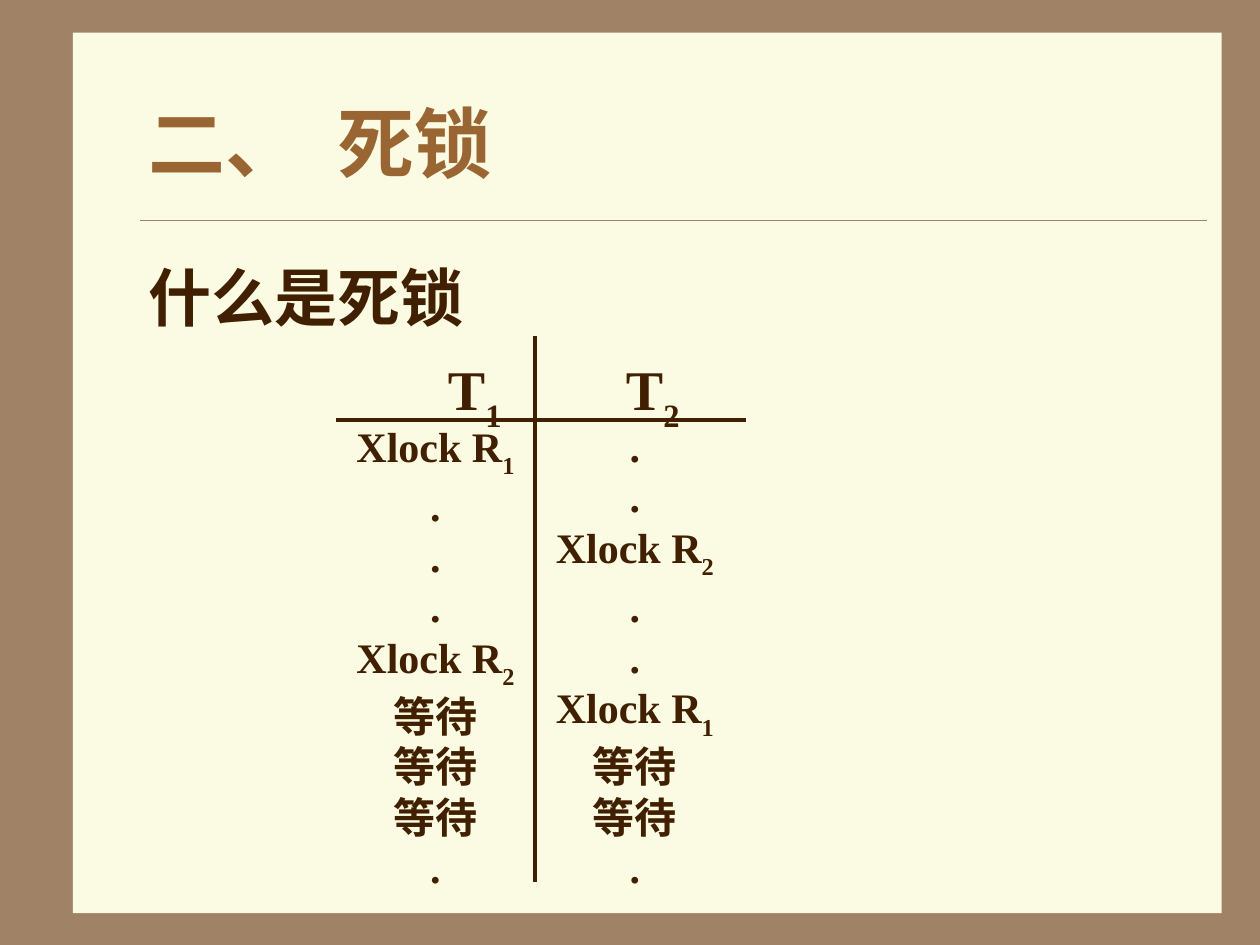
import pptx
import pptx.dml.color
import pptx.enum.shapes
import pptx.enum.text
import pptx.oxml.ns
import pptx.util
from lxml import etree
from pptx.util import Cm, Pt

COLOURS = {"frame": "A08366", "paper": "FBFAE2", "title": "996633", "ink": "402000"}
FONT = "Times New Roman"
SCHEDULE = {
    "T_1": ["Xlock R_1", ".", ".", ".", "Xlock R_2", "等待", "等待", "等待", "."],
    "T_2": [".", ".", "Xlock R_2", ".", ".", "Xlock R_1", "等待", "等待", "."],
}


def colour(name):
    return pptx.dml.color.RGBColor.from_string(COLOURS[name])


def add_span(para, text, size, ink, subscript=False):
    span = para.add_run()
    span.text = text
    span.font.name = FONT
    span.font.size = Pt(size)
    span.font.bold = True
    span.font.color.rgb = colour(ink)
    if subscript:
        span.font._element.set("baseline", "-30000")


def add_symbol(para, label, size):
    """Add a label whose part after an underscore is lowered."""
    base, _, index = label.partition("_")
    add_span(para, base, size, "ink")
    if index:
        add_span(para, index, size, "ink", subscript=True)


def set_plain(para, *stops):
    """Remove indent and bullet, and set left tab stops in centimetres."""
    qn = pptx.oxml.ns.qn
    properties = para._p.get_or_add_pPr()
    properties.set("marL", "0")
    properties.set("indent", "0")
    etree.SubElement(properties, qn("a:buNone"))
    if stops:
        tabs = etree.SubElement(properties, qn("a:tabLst"))
        for stop in stops:
            etree.SubElement(tabs, qn("a:tab"), pos=str(Cm(stop)), algn="l")


def add_line(shapes, start, end, ink, width):
    line = shapes.add_connector(
        pptx.enum.shapes.MSO_CONNECTOR.STRAIGHT,
        Cm(start[0]), Cm(start[1]), Cm(end[0]), Cm(end[1]))
    line.line.color.rgb = colour(ink)
    line.line.width = Pt(width)
    etree.SubElement(line._element.spPr, pptx.oxml.ns.qn("a:effectLst"))


def place(shape, box):
    shape.left, shape.top, shape.width, shape.height = (Cm(length) for length in box)


def add_backdrop(page, box):
    left, top, width, height = box
    page.background.fill.solid()
    page.background.fill.fore_color.rgb = colour("frame")
    group = page.shapes.add_group_shape()
    paper = group.shapes.add_shape(
        pptx.enum.shapes.MSO_SHAPE.RECTANGLE, *(Cm(length) for length in box))
    paper.shadow.inherit = False
    paper.fill.solid()
    paper.fill.fore_color.rgb = colour("paper")
    paper.line.fill.background()
    rule_y = top + 3.78
    add_line(group.shapes, (left + 1.35, rule_y), (left + width - 0.3, rule_y), "frame", 0.25)
    page.shapes._spTree.insert(2, group._element)


def fill_title(page, box):
    title = page.shapes.title
    place(title, box)
    title.text_frame.vertical_anchor = pptx.enum.text.MSO_ANCHOR.MIDDLE
    para = title.text_frame.paragraphs[0]
    para.alignment = pptx.enum.text.PP_ALIGN.LEFT
    set_plain(para, 3.81)
    add_span(para, "二、\t死锁", 44, "title")


def fill_body(page, box):
    body = page.placeholders[1]
    place(body, box)
    question = body.text_frame.paragraphs[0]
    question.space_before = Pt(0)
    set_plain(question)
    add_span(question, "什么是死锁", 36, "ink")


def add_heading(page, box, label):
    heading = page.shapes.add_textbox(*(Cm(length) for length in box))
    heading.text_frame.word_wrap = True
    add_symbol(heading.text_frame.paragraphs[0], label, 32)


def add_steps(page, box, steps):
    column = page.shapes.add_textbox(*(Cm(length) for length in box))
    frame = column.text_frame
    frame.word_wrap = False
    frame.vertical_anchor = pptx.enum.text.MSO_ANCHOR.MIDDLE
    for number, step in enumerate(steps):
        para = frame.add_paragraph() if number else frame.paragraphs[0]
        para.alignment = pptx.enum.text.PP_ALIGN.CENTER
        add_symbol(para, step, 24)


def add_schedule(page, box):
    """Draw the ruled cross with a heading and steps for each transaction."""
    left, top, width, height = box
    column_width, head_height, gap = 4.02, 1.7, 0.21
    heading_left, heading_pitch, heading_drop = left + 2.01, 3.59, 0.25
    rule_y, middle = top + head_height, left + column_width
    add_line(page.shapes, (left, rule_y), (left + width, rule_y), "ink", 2.25)
    add_line(page.shapes, (middle, top), (middle, top + height), "ink", 2.25)
    for number, (label, steps) in enumerate(SCHEDULE.items()):
        add_heading(page, (heading_left + number * heading_pitch, top + heading_drop,
                           2, head_height - heading_drop), label)
        add_steps(page, (left + number * column_width, rule_y + gap,
                         column_width, height - head_height - gap), steps)


def main():
    deck = pptx.Presentation()
    deck.slide_width, deck.slide_height = Cm(25.4), Cm(19.05)
    page = deck.slides.add_slide(deck.slide_layouts[1])
    add_backdrop(page, (1.47, 0.66, 23.16, 17.75))
    fill_title(page, (2.74, 1.27, 21.59, 3.18))
    fill_body(page, (2.74, 5.08, 21.59, 11.43))
    add_schedule(page, (6.77, 6.77, 8.26, 11.01))
    deck.save("out.pptx")


if __name__ == "__main__":
    main()
